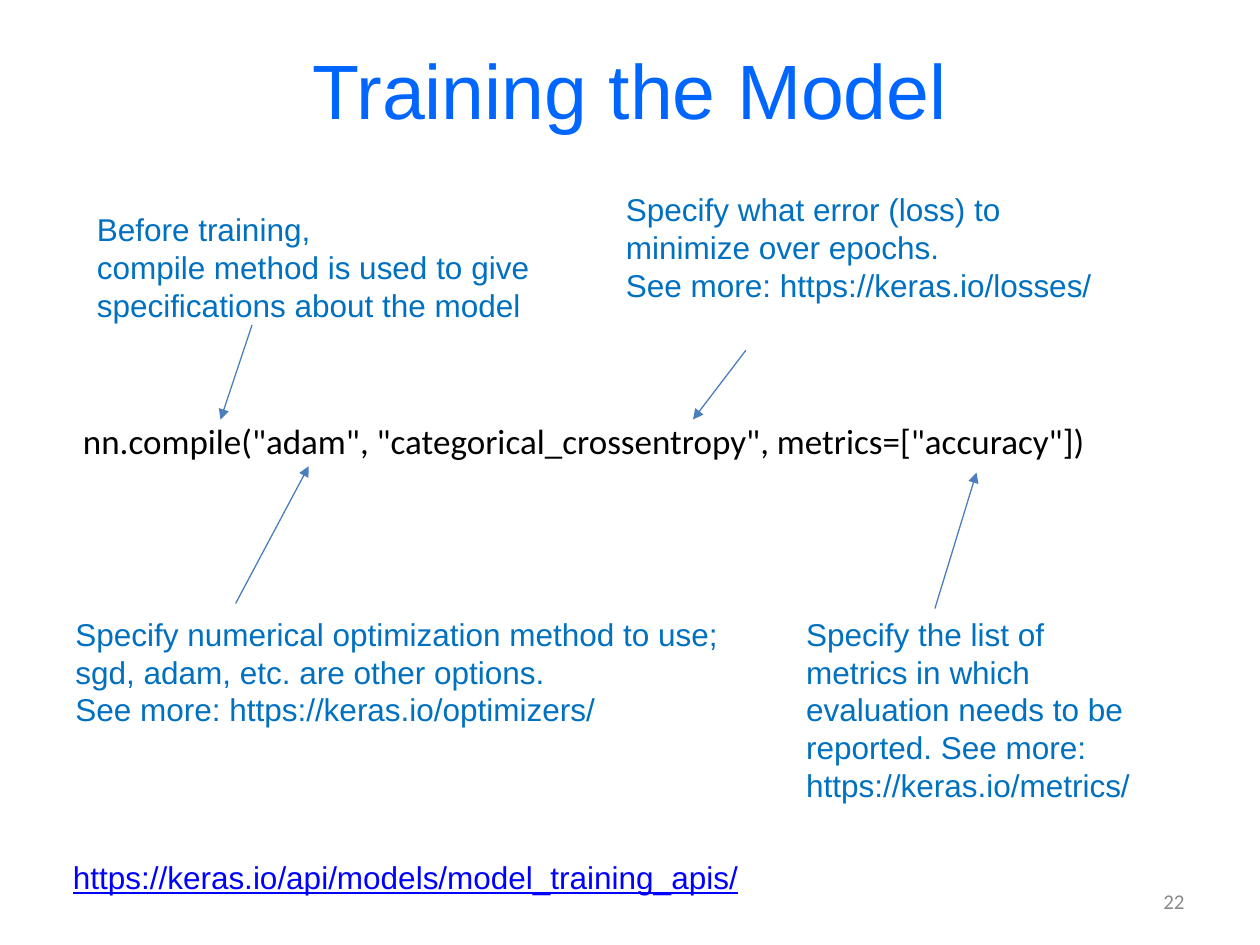
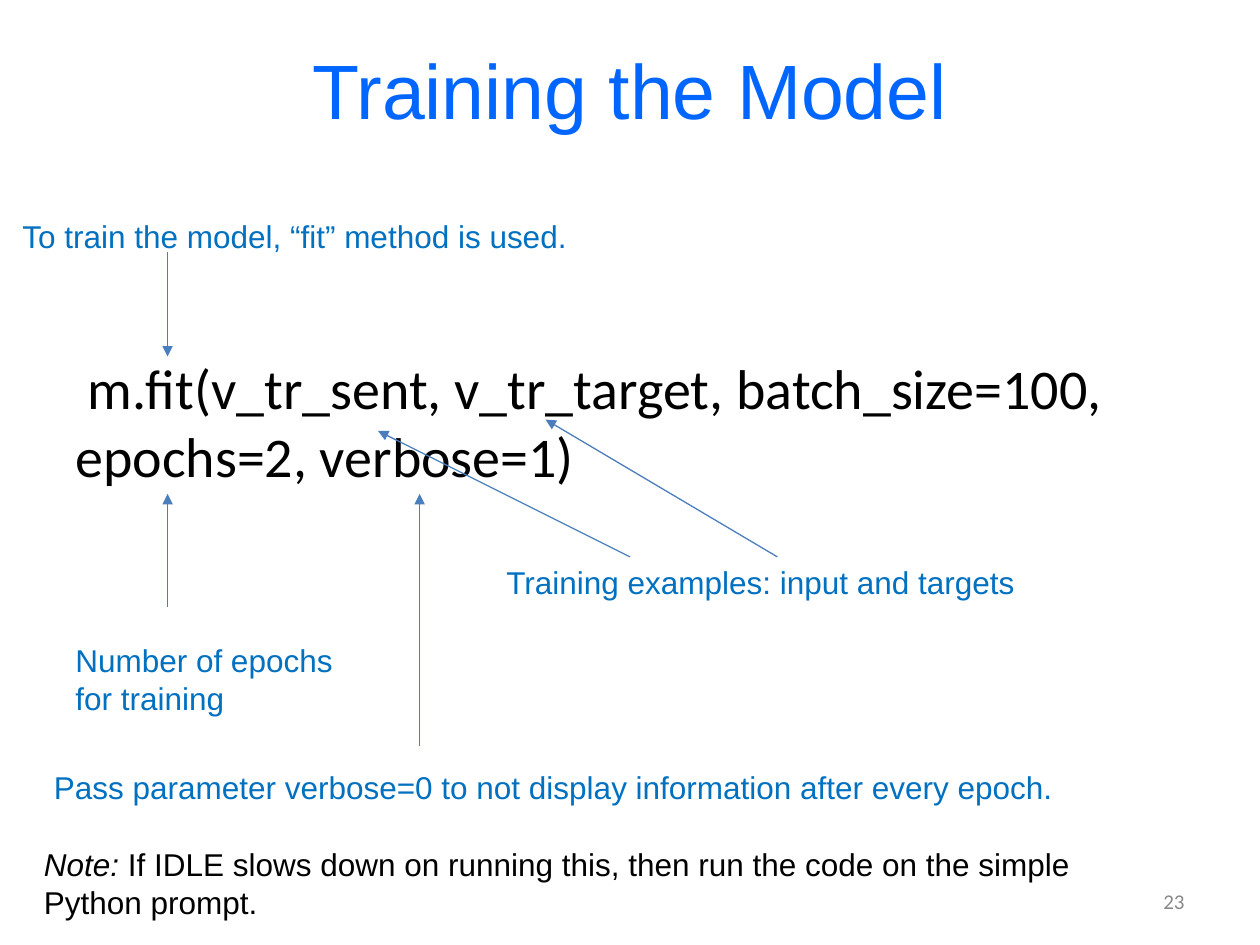
import pptx
import pptx.dml.color
import pptx.enum.shapes
import pptx.enum.text
import pptx.oxml
import pptx.oxml.ns
import pptx.util
from lxml import etree

RGBColor = pptx.dml.color.RGBColor
ALIGN = pptx.enum.text.PP_ALIGN
ANCHOR = pptx.enum.text.MSO_ANCHOR
AUTO_SIZE = pptx.enum.text.MSO_AUTO_SIZE

TITLE_BLUE = RGBColor(0x00, 0x66, 0xFF)
NOTE_BLUE = RGBColor(0x00, 0x70, 0xC0)
ARROW_BLUE = RGBColor(0x4B, 0x7E, 0xBC)
LINK_BLUE = RGBColor(0x00, 0x00, 0xFF)
NUMBER_GREY = RGBColor(0x89, 0x89, 0x89)
BLACK = RGBColor(0x00, 0x00, 0x00)
WHITE = RGBColor(0xFF, 0xFF, 0xFF)

PX_PER_INCH = 100
BLANK_LAYOUT = 6


def px(length):
    return pptx.util.Emu(length * 914400 // PX_PER_INCH)


class Deck:
    """Holds the presentation, its shared style and the current slide."""

    def __init__(self):
        self.prs = pptx.Presentation()
        self.prs.slide_width, self.prs.slide_height = px(1000), px(750)
        self.slide = None

    def start_slide(self, title, number):
        self.slide = self.prs.slides.add_slide(self.prs.slide_layouts[BLANK_LAYOUT])
        self.slide.background.fill.solid()
        self.slide.background.fill.fore_color.rgb = WHITE
        self.text(title, 50, 8, 900, 125, size=44, color=TITLE_BLUE,
                  align=ALIGN.CENTER, anchor=ANCHOR.MIDDLE)
        self.text(str(number), 717, 695, 233, 40, size=12, font="Calibri",
                  color=NUMBER_GREY, align=ALIGN.RIGHT, anchor=ANCHOR.MIDDLE)

    def text(self, text, left, top, width, height, *, size=18, font="Arial",
             color=BLACK, align=ALIGN.LEFT, anchor=ANCHOR.TOP, wrap=True,
             grow=False, underline=False, italic_lead="", indent=0):
        """Add a text box; each line of text is a paragraph, after an italic lead."""
        box = self.slide.shapes.add_textbox(px(left), px(top), px(width), px(height))
        frame = box.text_frame
        frame.word_wrap = wrap
        frame.vertical_anchor = anchor
        frame.auto_size = AUTO_SIZE.SHAPE_TO_FIT_TEXT if grow else AUTO_SIZE.NONE
        for index, line in enumerate(text.split("\n")):
            paragraph = frame.add_paragraph() if index else frame.paragraphs[0]
            paragraph.alignment = align
            if indent:
                paragraph._p.get_or_add_pPr().set("indent", str(px(indent)))
            lead = italic_lead if index == 0 else ""
            for part, italic in ((lead, True), (line, False)):
                if not part:
                    continue
                run = paragraph.add_run()
                run.text = part
                run.font.size = pptx.util.Pt(size)
                run.font.name = font
                run.font.color.rgb = color
                run.font.italic = italic
                run.font.underline = underline

    def note(self, text, left, top, width, height, *, wrap=False):
        self.text(text, left, top, width, height, color=NOTE_BLUE, wrap=wrap, grow=True)

    def code(self, text, top, height, *, size, indent):
        self.text(text, 50, top, 900, height, size=size, font="Calibri", indent=indent)

    def arrow(self, x1, y1, x2, y2):
        line = self.slide.shapes.add_connector(
            pptx.enum.shapes.MSO_CONNECTOR.STRAIGHT, px(x1), px(y1), px(x2), px(y2))
        line.line.color.rgb = ARROW_BLUE
        line.line.width = pptx.util.Pt(0.75)
        qn = pptx.oxml.ns.qn
        etree.SubElement(line.line._get_or_add_ln(), qn("a:tailEnd"), type="triangle")
        etree.SubElement(line._element.spPr, qn("a:effectLst"))


def build_compile_slide(deck):
    deck.start_slide("Training the Model", 22)
    deck.code('nn.compile("adam", "categorical_crossentropy", metrics=["accuracy"])',
              328, 44, size=20, indent=6)
    for ends in ((200, 258, 175, 333), (187, 479, 245, 370),
                 (592, 278, 550, 333), (742, 483, 775, 375)):
        deck.arrow(*ends)
    deck.note("Before training,\ncompile method is used to give\n"
              "specifications about the model", 67, 162, 374, 101)
    deck.note("Specify numerical optimization method to use;\n"
              "sgd, adam, etc. are other options.\n"
              "See more: https://keras.io/optimizers/", 50, 483, 535, 101)
    deck.note("Specify what error (loss) to\nminimize over epochs.\n"
              "See more: https://keras.io/losses/", 487, 146, 393, 101)
    deck.note("Specify the list of\nmetrics in which\nevaluation needs to be\n"
              "reported. See more: https://keras.io/metrics/",
              630, 483, 317, 162, wrap=True)
    deck.text("https://keras.io/api/models/model_training_apis/", 48, 676, 580, 40,
              color=LINK_BLUE, underline=True, grow=True)


def build_fit_slide(deck):
    deck.start_slide("Training the Model", 23)
    deck.code("m.fit(v_tr_sent, v_tr_target, batch_size=100, epochs=2, verbose=1)",
              276, 118, size=32, indent=10)
    for ends in ((133, 200, 133, 283), (500, 442, 300, 342), (617, 442, 433, 333),
                 (133, 482, 133, 392), (333, 592, 333, 392)):
        deck.arrow(*ends)
    deck.note("To train the model, “fit” method is used.", 8, 167, 456, 40)
    deck.note("Training examples: input and targets", 392, 442, 427, 40)
    deck.note("Number of epochs\nfor training", 50, 504, 233, 71)
    deck.note("Pass parameter verbose=0 to not display information after every epoch.",
              33, 605, 820, 40)
    deck.text("If IDLE slows down on running this, then run the code on the simple\n"
              "Python prompt.", 25, 666, 849, 71, italic_lead="Note: ",
              wrap=False, grow=True)


def main():
    deck = Deck()
    build_compile_slide(deck)
    build_fit_slide(deck)
    deck.prs.save("out.pptx")


if __name__ == "__main__":
    main()
